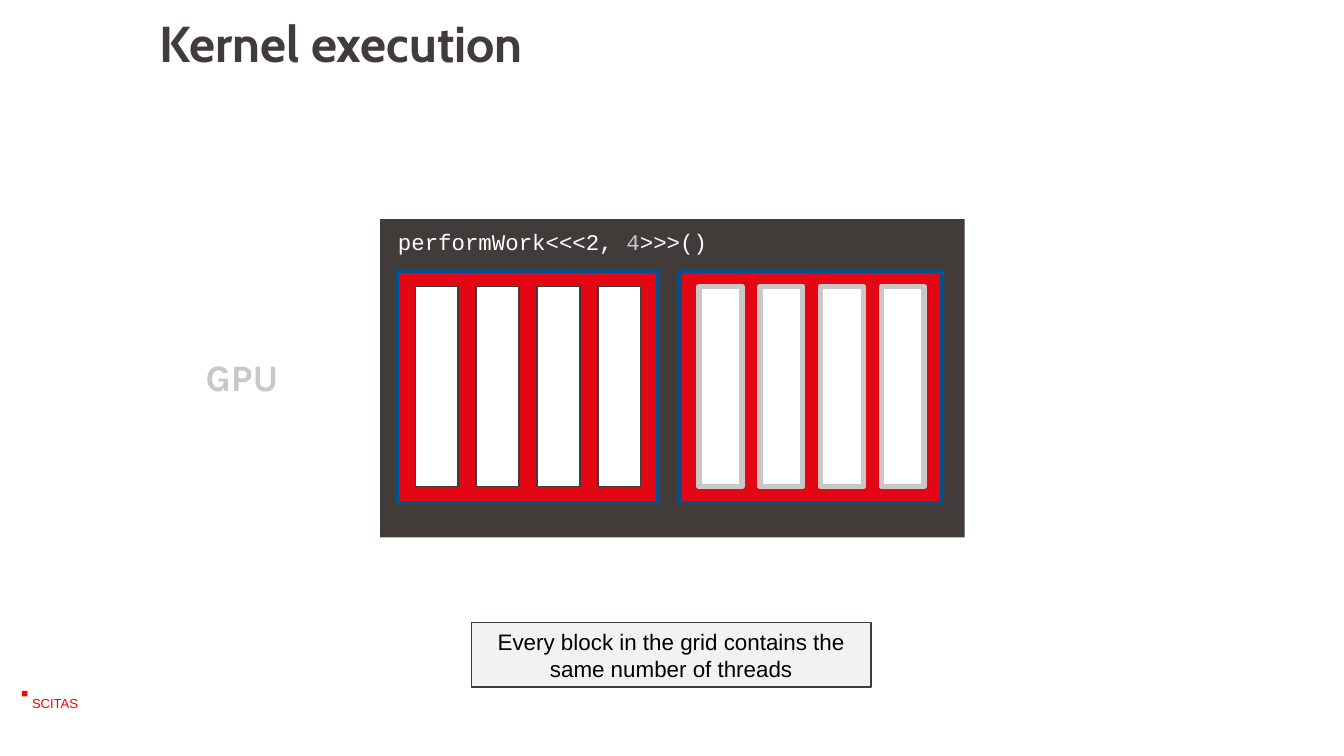
from pptx import Presentation
from pptx.dml.color import RGBColor
from pptx.enum.shapes import MSO_SHAPE
from pptx.enum.text import MSO_ANCHOR, PP_ALIGN
from pptx.util import Pt

RECTANGLE = MSO_SHAPE.RECTANGLE
TOP, MIDDLE, BOTTOM = MSO_ANCHOR.TOP, MSO_ANCHOR.MIDDLE, MSO_ANCHOR.BOTTOM
LEFT, CENTER = PP_ALIGN.LEFT, PP_ALIGN.CENTER

# Content: text runs are (text, colour)
DARK, GREY, WHITE, RED = "413C3A", "CAC7C7", "FFFFFF", "E30613"
BLUE, PALE, BLACK, FOOTER_RED = "00528F", "F2F2F2", "000000", "FF0000"
TITLE = [("Kernel execution", DARK)]
DEVICE = [("GPU", GREY)]
LAUNCH = [("performWork<<<2, ", WHITE), ("4", GREY), (">>>()", WHITE)]
NOTE = [("Every block in the grid contains the same number of threads", BLACK)]
FOOTER = [("SCITAS", FOOTER_RED)]
BULLET = [("■", FOOTER_RED)]
BLOCK_THREAD_LINES = [(DARK, 0.75), (GREY, 3)]  # one entry per block
THREADS_PER_BLOCK = 4

# Layout, in points
BLOCK_LEFT, BLOCK_TOP, BLOCK_WIDTH, BLOCK_HEIGHT = 212.5, 145.4, 140.2, 123.8
BLOCK_STEP = 151.9
THREAD_INSET, THREAD_TOP, THREAD_WIDTH, THREAD_HEIGHT = 10, 153.4, 23, 107.3
THREAD_STEP = 32.6
TIGHT = (5.76, 2.88, 5.76, 2.88)


def color(value):
    return RGBColor.from_string(value)


def write(shape, runs, size, font, bold=False, align=LEFT, anchor=TOP,
          insets=TIGHT, spacing=1.0):
    frame = shape.text_frame
    frame.word_wrap = True
    frame.vertical_anchor = anchor
    (frame.margin_left, frame.margin_top,
     frame.margin_right, frame.margin_bottom) = map(Pt, insets)
    paragraph = frame.paragraphs[0]
    paragraph.alignment = align
    paragraph.line_spacing = spacing
    paragraph.space_before = Pt(0)
    for text, run_color in runs:
        run = paragraph.add_run()
        run.text = text
        run.font.name = font
        run.font.size = Pt(size)
        run.font.bold = bold
        run.font.color.rgb = color(run_color)


def add_box(box, fill, line=None):
    shape = slide.shapes.add_shape(RECTANGLE, *map(Pt, box))
    shape.shadow.inherit = False
    shape.fill.solid()
    shape.fill.fore_color.rgb = color(fill)
    if line:
        line_color, width = line
        shape.line.color.rgb = color(line_color)
        shape.line.width = Pt(width)
    else:
        shape.line.fill.background()
    return shape


def add_label(box, runs, size, font, **text_format):
    label = slide.shapes.add_textbox(*map(Pt, box))
    write(label, runs, size, font, **text_format)


deck = Presentation()
deck.slide_width, deck.slide_height = Pt(720), Pt(405)
slide = deck.slides.add_slide(deck.slide_layouts[5])

# Title
title = slide.shapes.title
title.left, title.top, title.width, title.height = map(Pt, (71.3, 10.1, 612, 84.2))
write(title, TITLE, 27, "Cabin", bold=True,
      insets=(14.4, 0, 5.76, 3.6), spacing=0.9)

# Footer
add_label((4.3, 365, 22.3, 22.3), BULLET, 6, "Arial", bold=True,
          insets=(7.2, 7.2, 7.2, 7.2), spacing=0.9)
add_label((10.1, 354.2, 40.3, 44.6), FOOTER, 7, "Arial", anchor=MIDDLE,
          insets=(7.2, 3.6, 7.2, 3.6))

# Grid with the kernel launch
add_box((203.6, 117.4, 313.2, 170.6), DARK)
launch = add_box((207.4, 119.5, 183.6, 20.2), DARK)
write(launch, LAUNCH, 12, "Courier New", anchor=MIDDLE)

# Blocks and their threads
for block, thread_line in enumerate(BLOCK_THREAD_LINES):
    block_left = BLOCK_LEFT + block * BLOCK_STEP
    add_box((block_left, BLOCK_TOP, BLOCK_WIDTH, BLOCK_HEIGHT), RED, (BLUE, 2))
    for thread in range(THREADS_PER_BLOCK):
        thread_left = block_left + THREAD_INSET + thread * THREAD_STEP
        add_box((thread_left, THREAD_TOP, THREAD_WIDTH, THREAD_HEIGHT),
                WHITE, thread_line)

# Note and device label
note = add_box((252.7, 333.4, 213.9, 34.6), PALE, (DARK, 0.75))
write(note, NOTE, 12, "Arial", align=CENTER)
add_label((104.4, 188.6, 58.3, 28.1), DEVICE, 20, "Karla", bold=True,
          anchor=BOTTOM, spacing=0.9)

deck.save("out.pptx")
